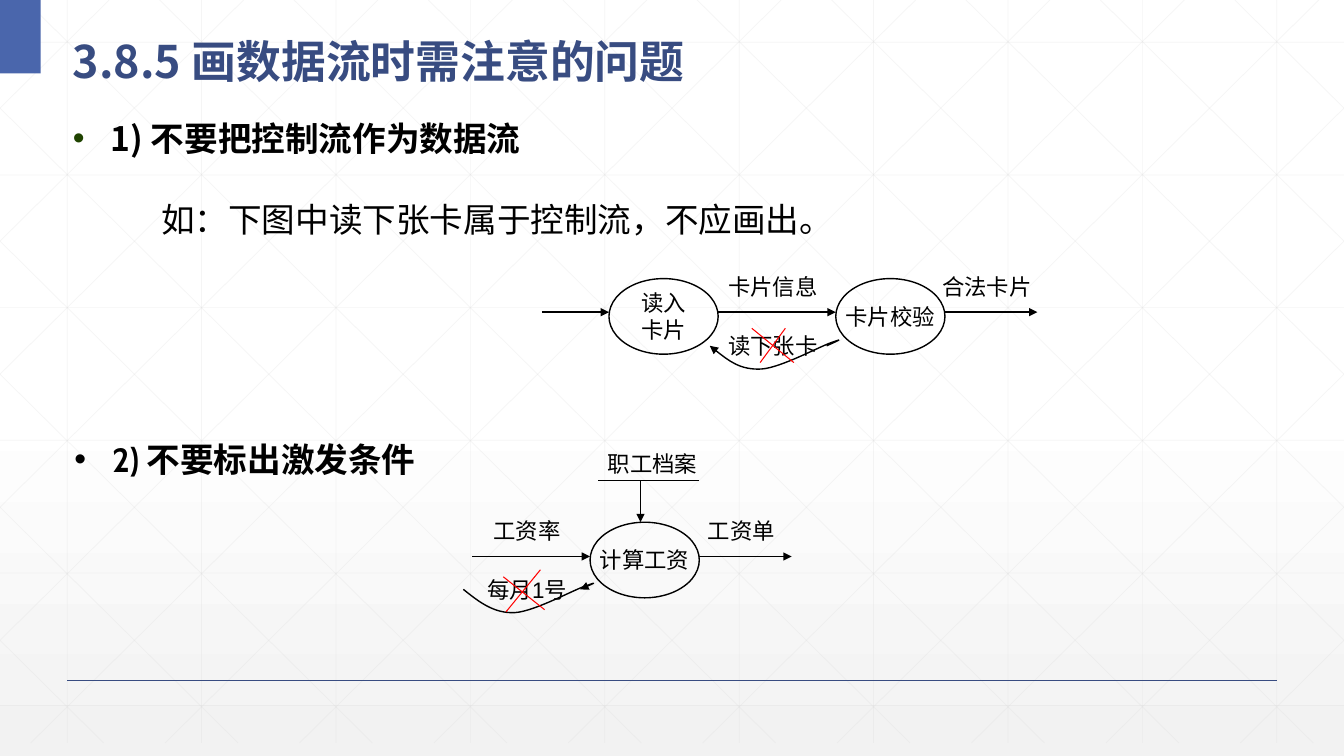
from lxml.etree import SubElement
from pptx import Presentation
from pptx.dml.color import RGBColor
from pptx.enum.shapes import MSO_CONNECTOR, MSO_SHAPE
from pptx.enum.text import MSO_ANCHOR, PP_ALIGN
from pptx.oxml.ns import qn
from pptx.util import Pt

BLACK = RGBColor(0x00, 0x00, 0x00)
WHITE = RGBColor(0xFF, 0xFF, 0xFF)
RED = RGBColor(0xFF, 0x00, 0x00)
NAVY = RGBColor(0x38, 0x4C, 0x81)
BLUE = RGBColor(0x4A, 0x66, 0xAC)
GREEN = RGBColor(0x1F, 0x43, 0x00)
GRID_GREY = RGBColor(0xD9, 0xD9, 0xD9)
PALE_GREY = RGBColor(0xF2, 0xF2, 0xF2)
CJK = "Noto Sans CJK SC"

WIDTH, HEIGHT = 960, 540
GRID_BOTTOM = 530.64
GRID_STEP = 96
LABEL_WIDTH, LABEL_HEIGHT = 110, 36

deck = Presentation()
deck.slide_width, deck.slide_height = Pt(WIDTH), Pt(HEIGHT)
page = deck.slides.add_slide(deck.slide_layouts[6])


def add_line(x1, y1, x2, y2, color, weight, arrow=False):
    line = page.shapes.add_connector(
        MSO_CONNECTOR.STRAIGHT, Pt(x1), Pt(y1), Pt(x2), Pt(y2))
    line.line.color.rgb = color
    line.line.width = Pt(weight)
    if arrow:
        SubElement(line.line._get_or_add_ln(), qn("a:tailEnd"), type="triangle")
    SubElement(line._element.spPr, qn("a:effectLst"))
    return line


def write(shape, lines, size, font, color=BLACK, bold=False,
          align=PP_ALIGN.CENTER, anchor=MSO_ANCHOR.MIDDLE, wrap=False):
    """Fill a shape with one paragraph per line and return the first."""
    frame = shape.text_frame
    frame.word_wrap = wrap
    frame.vertical_anchor = anchor
    for number, line in enumerate(lines):
        para = frame.add_paragraph() if number else frame.paragraphs[0]
        para.alignment = align
        span = para.add_run()
        span.text = line
        span.font.size, span.font.name = Pt(size), font
        span.font.bold = bold
        span.font.color.rgb = color
    return frame.paragraphs[0]


# Background gradient and faint grid
backdrop = page.background.fill
backdrop.gradient()
backdrop.gradient_angle = 270
for stop, color, position in zip(backdrop.gradient_stops, (WHITE, PALE_GREY), (0.53, 1)):
    stop.color.rgb, stop.position = color, position

grid = [(x, 0, x, GRID_BOTTOM) for x in range(48, WIDTH, GRID_STEP)]
grid += [(0, 30.25 + 94.75 * row, WIDTH, 30.25 + 94.75 * row) for row in range(6)]
slope = 0.99
for step in range(-5, 10):
    top_x = 18 + GRID_STEP * step
    x1 = max(top_x, 0)
    x2 = min(top_x + GRID_BOTTOM / slope, WIDTH)
    y1, y2 = (x1 - top_x) * slope, (x2 - top_x) * slope
    grid += [(x1, y1, x2, y2), (WIDTH - x1, y1, WIDTH - x2, y2)]
for ends in grid:
    line = add_line(*ends, GRID_GREY, 0.5)
    tint = line._element.spPr.find(".//" + qn("a:srgbClr"))
    SubElement(tint, qn("a:alpha"), val="25000")

add_line(48, 486, 912, 486, NAVY, 1)
corner = page.shapes.add_shape(MSO_SHAPE.RECTANGLE, 0, 0, Pt(29), Pt(52.5))
corner.shadow.inherit = False
corner.fill.solid()
corner.fill.fore_color.rgb = BLUE
corner.line.fill.background()

# Title and body text
title = page.shapes.add_textbox(Pt(45), Pt(11.5), Pt(840), Pt(52.5))
para = write(title, ["3.8.5 画数据流时需注意的问题"], 32, CJK, NAVY, True,
             PP_ALIGN.LEFT, wrap=True)
para.line_spacing = 1.3

for left, top, text, font, bullet_color in (
        (45, 80.6, "1) 不要把控制流作为数据流", CJK, GREEN),
        (46, 310, "2) 不要标出激发条件", "Cabin", BLACK)):
    box = page.shapes.add_textbox(Pt(left), Pt(top), Pt(744), Pt(40))
    para = write(box, [text], 24, font, bold=True, align=PP_ALIGN.LEFT,
                 anchor=MSO_ANCHOR.TOP, wrap=True)
    settings = para._p.get_or_add_pPr()
    settings.set("marL", str(Pt(27)))
    settings.set("indent", str(-Pt(27)))
    SubElement(SubElement(settings, qn("a:buClr")), qn("a:srgbClr"), val=str(bullet_color))
    SubElement(settings, qn("a:buFont"), typeface="Arial")
    SubElement(settings, qn("a:buChar"), char="•")

example = page.shapes.add_textbox(Pt(108), Pt(138.5), Pt(500), Pt(36))
write(example, ["如：下图中读下张卡属于控制流，不应画出。"], 24, "Cabin",
      align=PP_ALIGN.LEFT, anchor=MSO_ANCHOR.TOP)

# Flow diagrams: processes, labels, flows
for left, top, lines in ((435, 199, ["读入", "卡片"]),
                         (597, 199, ["卡片校验"]),
                         (421.5, 373, ["计算工资"])):
    process = page.shapes.add_shape(MSO_SHAPE.OVAL, Pt(left), Pt(top), Pt(78), Pt(54))
    process.shadow.inherit = False
    process.fill.background()
    process.line.color.rgb = BLACK
    process.line.width = Pt(1)
    write(process, lines, 16, "Arial")

for center_x, center_y, label in (
        (705, 205, "合法卡片"), (552, 205, "卡片信息"), (552, 247, "读下张卡"),
        (529.5, 379.25, "工资单"), (376.5, 379.25, "工资率"), (376.5, 421, "每月1号"),
        (466, 331, "职工档案")):
    box = page.shapes.add_textbox(
        Pt(center_x - LABEL_WIDTH / 2), Pt(center_y - LABEL_HEIGHT / 2),
        Pt(LABEL_WIDTH), Pt(LABEL_HEIGHT))
    write(box, [label], 16, "Arial")

for x1, x2, y in ((387, 435, 223), (513, 597, 223), (675, 741, 223),
                  (337.5, 421.5, 397.5), (499.5, 565.5, 397.5)):
    add_line(x1, y, x2, y, BLACK, 1, arrow=True)
add_line(427.5, 343.5, 499.5, 343.5, BLACK, 0.75)
add_line(457.5, 343.5, 457.5, 373, BLACK, 0.75, arrow=True)

# Curved control flows: three cubic pieces, each with three points
CURVE = ((10.8, 8.6), (21.6, 17.3), (36.7, 16.6),
         (51.1, 15.8), (80.6, -0.7), (88.6, -2.9),
         (96.5, -5.8), (90, -2.9), (83.5, 0))
for x, y, arrow_end in ((507, 247, "headEnd"), (331, 421, "tailEnd")):
    builder = page.shapes.build_freeform(Pt(x), Pt(y))
    builder.add_line_segments([(Pt(x + dx), Pt(y + dy)) for dx, dy in CURVE], close=False)
    curve = builder.convert_to_shape()
    curve.shadow.inherit = False
    curve.fill.background()
    curve.line.color.rgb = BLACK
    curve.line.width = Pt(1)
    SubElement(curve.line._get_or_add_ln(), qn("a:" + arrow_end), type="triangle")
    outline = curve._element.spPr.find(".//" + qn("a:path"))
    for number, segment in enumerate(outline.findall(qn("a:lnTo"))):
        if number % 3 == 0:
            piece = SubElement(outline, qn("a:cubicBezTo"))
        piece.append(segment[0])
        outline.remove(segment)

# Red crosses over the flows that must not be drawn
for ends in ((561, 234.5, 543, 259), (537, 234.5, 567, 259),
             (386, 407, 361.5, 437), (359.5, 412, 389, 435.5)):
    add_line(*ends, RED, 0.75)

deck.save("out.pptx")
